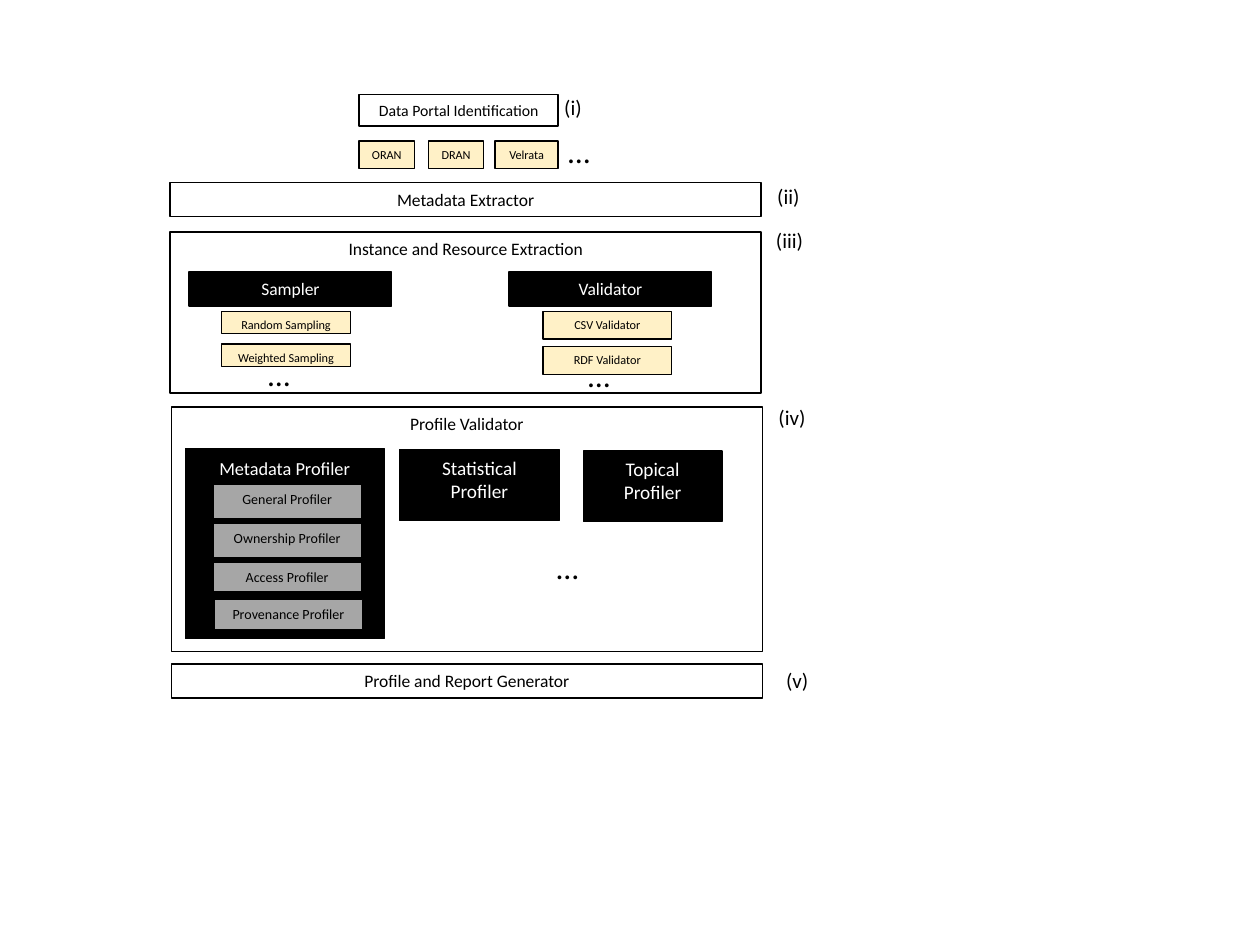
"""Build the slide showing a five-stage data profiling pipeline."""
from dataclasses import dataclass

from lxml.etree import SubElement
from pptx import Presentation
from pptx.dml.color import RGBColor
from pptx.enum.shapes import MSO_SHAPE
from pptx.enum.text import MSO_ANCHOR, PP_ALIGN
from pptx.oxml.ns import qn
from pptx.shapes.autoshape import Shape
from pptx.shapes.shapetree import SlideShapes
from pptx.util import Inches, Pt

FONT = "Calibri"
COLORS = {"white": "FFFFFF", "black": "000000", "gold": "FFC000", "gray": "A6A6A6"}


@dataclass(frozen=True)
class Style:
    """Look of one family of boxes."""

    fill: str
    ink: str
    size: float
    side: float = 0.1
    alpha: int = 100


@dataclass(frozen=True)
class Box:
    """A labelled rectangle, placed in inches."""

    text: str
    left: float
    top: float
    width: float
    height: float
    style: Style


@dataclass(frozen=True)
class Note:
    """A free label, placed in inches."""

    text: str
    left: float
    top: float
    width: float
    height: float = 0.3
    size: float = 12
    ink: str = "black"
    align: PP_ALIGN = PP_ALIGN.LEFT


PORTAL = Style("white", "black", 9)
STAGE = Style("white", "black", 10)
HEAD = Style("black", "white", 10)
PANEL = Style("black", "white", 11)
CHIP = Style("gold", "black", 7, side=0.05, alpha=22)
PART = Style("gray", "black", 8)

BOXES = [
    Box("Data Portal Identification", 2.85, 0.75, 1.58, 0.25, PORTAL),
    Box("ORAN", 2.85, 1.12, 0.44, 0.22, CHIP),
    Box("DRAN", 3.4, 1.12, 0.44, 0.22, CHIP),
    Box("Velrata", 3.93, 1.12, 0.5, 0.22, CHIP),
    Box("Metadata Extractor", 1.35, 1.45, 4.69, 0.27, STAGE),
    Box("Instance and Resource Extraction", 1.35, 1.84, 4.69, 1.28, STAGE),
    Box("Sampler", 1.5, 2.16, 1.61, 0.27, HEAD),
    Box("Random Sampling", 1.76, 2.47, 1.02, 0.18, CHIP),
    Box("Weighted Sampling", 1.76, 2.73, 1.02, 0.18, CHIP),
    Box("Validator", 4.04, 2.16, 1.61, 0.27, HEAD),
    Box("CSV Validator", 4.31, 2.47, 1.02, 0.22, CHIP),
    Box("RDF Validator", 4.31, 2.75, 1.02, 0.22, CHIP),
    Box("Profile Validator", 1.36, 3.23, 4.69, 1.94, STAGE),
    Box("", 1.47, 3.56, 1.58, 1.51, PANEL),
    Box("General Profiler", 1.69, 3.84, 1.18, 0.28, PART),
    Box("Ownership Profiler", 1.69, 4.15, 1.18, 0.28, PART),
    Box("Access Profiler", 1.69, 4.46, 1.18, 0.24, PART),
    Box("Provenance Profiler", 1.7, 4.76, 1.18, 0.24, PART),
    Box("Statistical Profiler", 3.17, 3.57, 1.27, 0.56, PANEL),
    Box("Topical Profiler", 4.63, 3.58, 1.1, 0.56, PANEL),
    Box("Profile and Report Generator", 1.36, 5.27, 4.69, 0.27, STAGE),
]
NOTES = [
    Note("(i)", 4.38, 0.7, 0.34),
    Note("(ii)", 6.07, 1.41, 0.38),
    Note("(iii)", 6.06, 1.76, 0.42),
    Note("(iv)", 6.08, 3.16, 0.42),
    Note("(v)", 6.14, 5.25, 0.38),
    Note("Metadata Profiler", 1.47, 3.58, 1.58, 0.33, 10.5, "white", PP_ALIGN.CENTER),
]
DOTS = [(4.41, 1), (2.03, 2.77), (4.57, 2.78), (4.32, 4.3)]


def color(name: str) -> RGBColor:
    """Look up a named colour."""
    return RGBColor.from_string(COLORS[name])


def write(shape: Shape, text: str, size: float, ink: str, align: PP_ALIGN) -> None:
    """Put one formatted run in a shape."""
    frame = shape.text_frame
    frame.vertical_anchor = MSO_ANCHOR.TOP
    line = frame.paragraphs[0]
    line.alignment = align
    run = line.add_run()
    run.text = text
    run.font.name = FONT
    run.font.size = Pt(size)
    run.font.color.rgb = color(ink)


def draw_box(shapes: SlideShapes, box: Box) -> None:
    """Draw a rectangle with its label at the top."""
    style = box.style
    shape = shapes.add_shape(
        MSO_SHAPE.RECTANGLE,
        Inches(box.left), Inches(box.top), Inches(box.width), Inches(box.height),
    )
    shape.shadow.inherit = False
    shape.fill.solid()
    shape.fill.fore_color.rgb = color(style.fill)
    if style.alpha < 100:
        tint = shape.fill._xPr.find(qn("a:solidFill"))[0]
        SubElement(tint, qn("a:alpha")).set("val", str(style.alpha * 1000))
    shape.line.color.rgb = color("black")
    shape.line.width = Pt(0.75)
    frame = shape.text_frame
    frame.word_wrap = True
    frame.margin_left = frame.margin_right = Inches(style.side)
    if box.text:
        write(shape, box.text, style.size, style.ink, PP_ALIGN.CENTER)


def draw_note(shapes: SlideShapes, note: Note) -> None:
    """Draw a free label."""
    shape = shapes.add_textbox(
        Inches(note.left), Inches(note.top), Inches(note.width), Inches(note.height)
    )
    shape.text_frame.word_wrap = note.align == PP_ALIGN.CENTER
    write(shape, note.text, note.size, note.ink, note.align)


def main() -> None:
    """Build and save the slide."""
    deck = Presentation()
    deck.slide_width, deck.slide_height = Inches(10), Inches(7.5)
    shapes = deck.slides.add_slide(deck.slide_layouts[6]).shapes
    for box in BOXES:
        draw_box(shapes, box)
    for note in NOTES + [Note("…", x, y, 0.38, 0.4, 18) for x, y in DOTS]:
        draw_note(shapes, note)
    deck.save("out.pptx")


if __name__ == "__main__":
    main()
